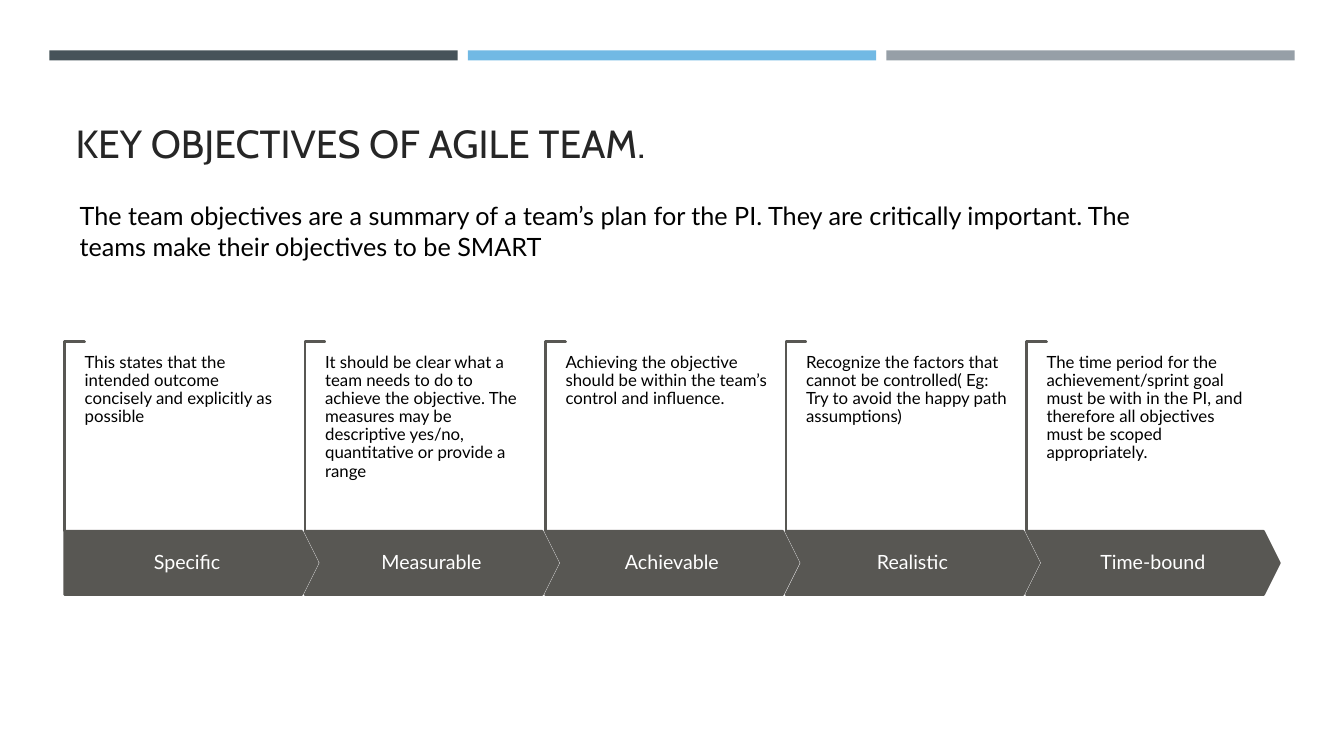
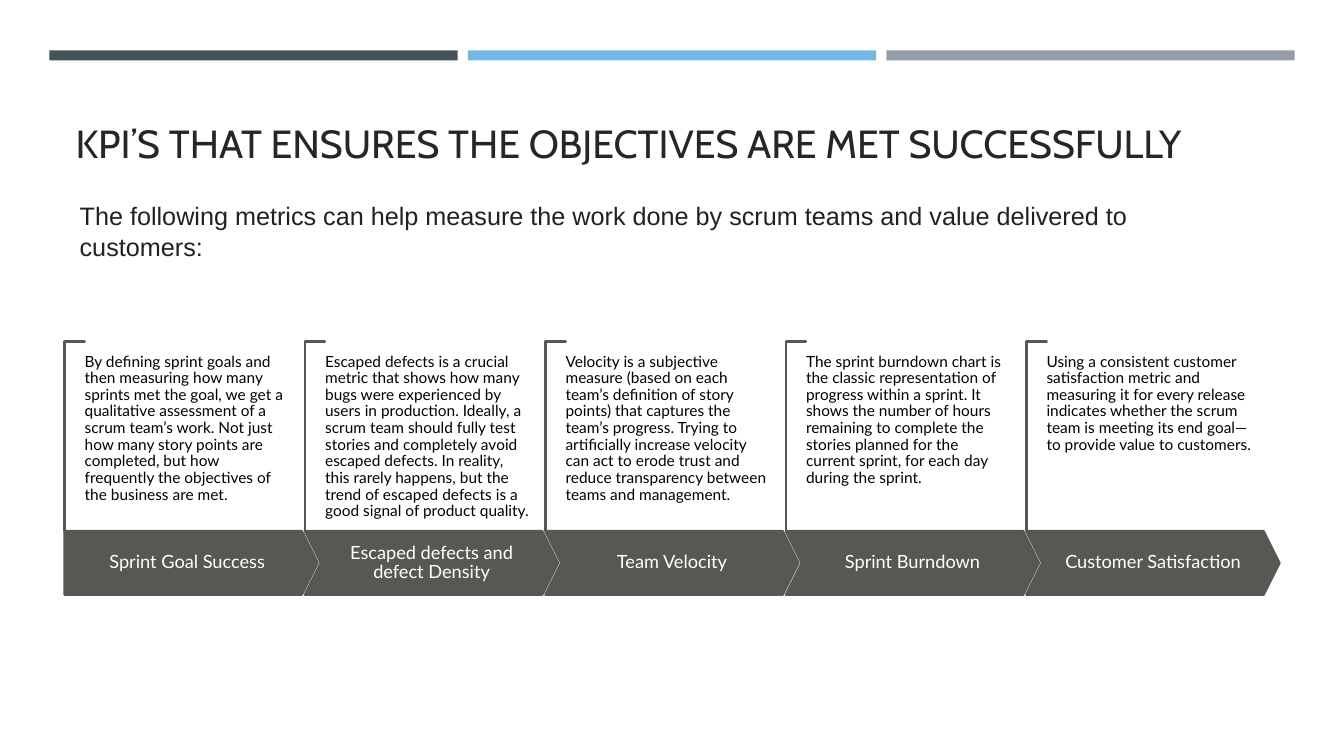
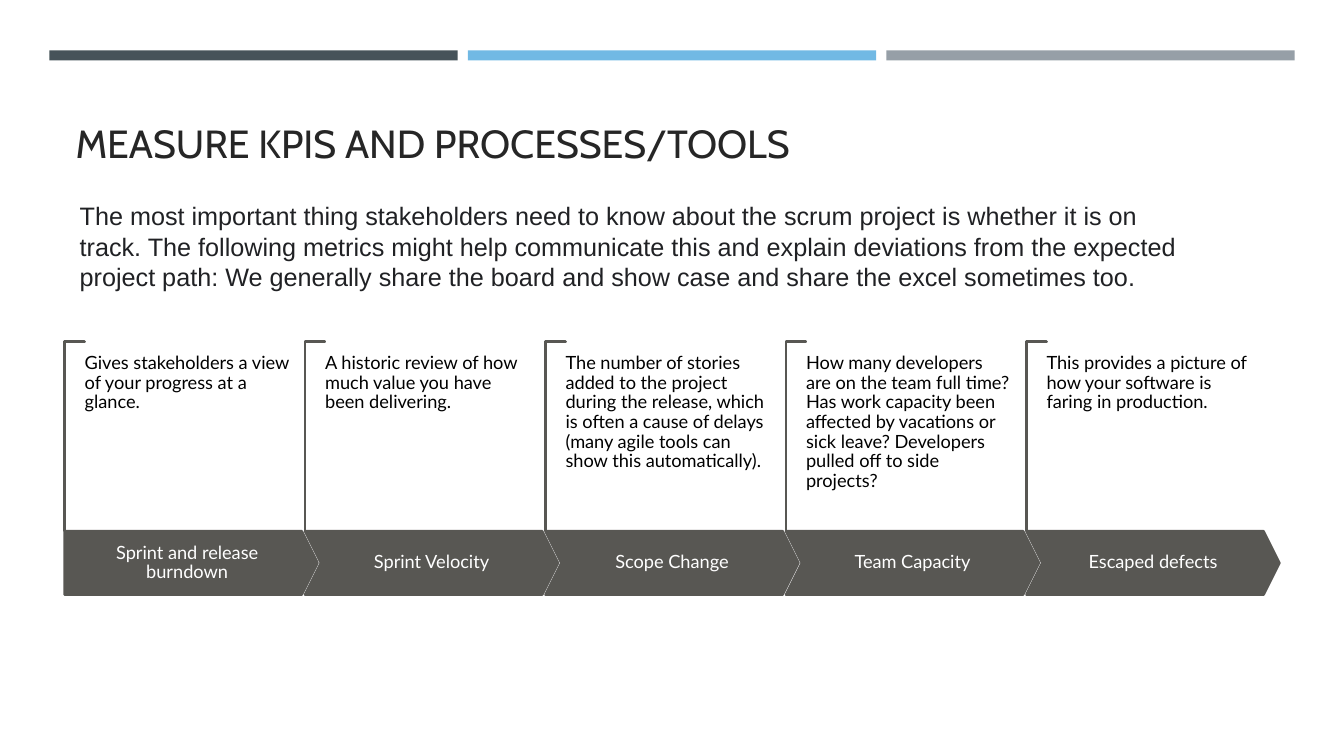
from dataclasses import dataclass

from lxml import etree
from pptx import Presentation
from pptx.dml.color import RGBColor
from pptx.enum import shapes, text
from pptx.oxml import ns
from pptx.util import Inches, Pt


@dataclass(frozen=True)
class Theme:
    bands: tuple = ("465359", "71B9E4", "969FA7")
    title: str = "262626"
    body: str = "000000"
    web_text: str = "202124"
    arrow: str = "585753"
    bracket: str = "EBDDC3"
    arrow_text: str = "FFFFFF"
    title_font: str = "Cabin"
    body_font: str = "Lato"
    web_font: str = "Arial"
    title_size: int = 28
    intro_size: int = 18
    outline: float = 1.75


THEME = Theme()

STEP_COUNT = 5
FIRST_LEFT, LAST_LEFT = 0.64, 10.18
STEP_PITCH = (LAST_LEFT - FIRST_LEFT) / (STEP_COUNT - 1)
ARROW_TOP, ARROW_WIDTH, ARROW_HEIGHT = 5.27, 2.51, 0.63
BRACKET_WIDTH, BRACKET_HEIGHT = 0.2, 1.88

SLIDES = [
    dict(
        title="KEY OBJECTIVES OF AGILE TEAM.",
        intro="The team objectives are a summary of a team’s plan for the PI. They are "
              "critically important. The teams make their objectives to be SMART",
        intro_format=dict(font=THEME.body_font, color=THEME.body),
        intro_height=0.71, label_size=14, detail_size=12,
        steps=[
            ("Specific", "This states that the intended outcome concisely and explicitly "
                         "as possible"),
            ("Measurable", "It should be clear what a team needs to do to achieve the "
                           "objective. The measures may be descriptive yes/no, "
                           "quantitative or provide a range"),
            ("Achievable", "Achieving the objective should be within the team’s control "
                           "and influence."),
            ("Realistic", "Recognize the factors that cannot be controlled( Eg: Try to "
                          "avoid the happy path assumptions)"),
            ("Time-bound", "The time period for the achievement/sprint goal must be with "
                           "in the PI, and therefore all objectives must be scoped "
                           "appropriately."),
        ],
    ),
    dict(
        title="KPI’S THAT ENSURES THE OBJECTIVES ARE MET SUCCESSFULLY",
        intro="The following metrics can help measure the work done by scrum teams and "
              "value delivered to customers:",
        intro_format=dict(font=THEME.web_font, color=THEME.web_text),
        intro_height=0.71, label_size=13, detail_size=11,
        steps=[
            ("Sprint Goal Success",
             "By defining sprint goals and then measuring how many sprints met the goal, "
             "we get a qualitative assessment of a scrum team’s work. Not just how many "
             "story points are completed, but how frequently the objectives of the "
             "business are met."),
            ("Escaped defects and defect Density",
             "Escaped defects is a crucial metric that shows how many bugs were "
             "experienced by users in production. Ideally, a scrum team should fully "
             "test stories and completely avoid escaped defects. In reality, this rarely "
             "happens, but the trend of escaped defects is a good signal of product "
             "quality."),
            ("Team Velocity",
             "Velocity is a subjective measure (based on each team’s definition of story "
             "points) that captures the team’s progress. Trying to artificially increase "
             "velocity can act to erode trust and reduce transparency between teams and "
             "management."),
            ("Sprint Burndown",
             "The sprint burndown chart is the classic representation of progress within "
             "a sprint. It shows the number of hours remaining to complete the stories "
             "planned for the current sprint, for each day during the sprint."),
            ("Customer Satisfaction",
             "Using a consistent customer satisfaction metric and measuring it for every "
             "release indicates whether the scrum team is meeting its end goal—to "
             "provide value to customers."),
        ],
    ),
    dict(
        title="MEASURE KPIS AND PROCESSES/TOOLS",
        intro="The most important thing stakeholders need to know about the scrum project "
              "is whether it is on track. The following metrics might help communicate "
              "this and explain deviations from the expected project path: We generally "
              "share the board and show case and share the excel sometimes too.",
        intro_format=dict(font=THEME.web_font, color=THEME.web_text),
        intro_height=1.01, label_size=13, detail_size=13,
        steps=[
            ("Sprint and release burndown",
             "Gives stakeholders a view of your progress at a glance."),
            ("Sprint Velocity",
             "A historic review of how much value you have been delivering."),
            ("Scope Change",
             "The number of stories added to the project during the release, which is "
             "often a cause of delays (many agile tools can show this automatically)."),
            ("Team Capacity",
             "How many developers are on the team full time? Has work capacity been "
             "affected by vacations or sick leave? Developers pulled off to side "
             "projects?"),
            ("Escaped defects",
             "This provides a picture of how your software is faring in production."),
        ],
    ),
]


def place(item, left, top, width, height):
    item.left, item.top = Inches(left), Inches(top)
    item.width, item.height = Inches(width), Inches(height)


def write(item, words, *, size, color, font=THEME.body_font, align=text.PP_ALIGN.LEFT,
          anchor=text.MSO_ANCHOR.TOP, spacing=1.0, margins=(0.1, 0.05)):
    """Fill a shape with one formatted paragraph; margins are (side, top and bottom)."""
    frame = item.text_frame
    frame.word_wrap = True
    frame.auto_size = text.MSO_AUTO_SIZE.NONE
    frame.vertical_anchor = anchor
    frame.margin_left = frame.margin_right = Inches(margins[0])
    frame.margin_top = frame.margin_bottom = Inches(margins[1])
    paragraph = frame.paragraphs[0]
    paragraph.alignment = align
    paragraph.line_spacing = spacing
    paragraph.space_before = Pt(0)
    run = paragraph.add_run()
    run.text = words
    run.font.name = font
    run.font.size = Pt(size)
    run.font.color.rgb = RGBColor.from_string(color)
    return paragraph


def remove_bullet(paragraph):
    properties = paragraph._p.get_or_add_pPr()
    properties.set("marL", "0")
    properties.set("indent", "0")
    etree.SubElement(properties, ns.qn("a:buNone"))


def add_preset(slide, preset, left, top, width, height, *, fill, line=None, adjust=()):
    shape = slide.shapes.add_shape(
        preset, Inches(left), Inches(top), Inches(width), Inches(height))
    shape.shadow.inherit = False
    shape.fill.solid()
    shape.fill.fore_color.rgb = RGBColor.from_string(fill)
    if line:
        shape.line.color.rgb = RGBColor.from_string(line)
        shape.line.width = Pt(THEME.outline)
    else:
        shape.line.fill.background()
    for index, value in enumerate(adjust):
        shape.adjustments[index] = value
    return shape


def set_up_layout(layout, slide):
    """Place the shared title and intro, and move the bands from slide to layout."""
    place(layout.placeholders[0], 0.65, 0.77, 12.06, 1.3)
    place(layout.placeholders[1], 0.69, 1.94, 11.17, 0.71)
    for index, color in enumerate(THEME.bands):
        band = add_preset(slide, shapes.MSO_SHAPE.RECTANGLE,
                          0.49 + index * 4.15, 0.5, 4.05, 0.1, fill=color)
        band.element.nvSpPr.cNvPr.set("id", str(100 + index))
        layout.element.cSld.spTree.insert(2 + index, band.element)


def add_step(slide, index, label, detail, label_size, detail_size):
    left = FIRST_LEFT + index * STEP_PITCH
    # The bracket is drawn lying down and turned about its centre.
    bracket = add_preset(
        slide, shapes.MSO_SHAPE.CORNER,
        left + (BRACKET_WIDTH - BRACKET_HEIGHT) / 2,
        ARROW_TOP - (BRACKET_HEIGHT + BRACKET_WIDTH) / 2,
        BRACKET_HEIGHT, BRACKET_WIDTH,
        fill=THEME.bracket, line=THEME.arrow, adjust=(0.01, 0.01))
    bracket.rotation = 90

    preset = shapes.MSO_SHAPE.CHEVRON if index else shapes.MSO_SHAPE.PENTAGON
    arrow = add_preset(slide, preset, left, ARROW_TOP, ARROW_WIDTH, ARROW_HEIGHT,
                       fill=THEME.arrow, line=THEME.arrow, adjust=(0.25,))
    write(arrow, label, size=label_size, color=THEME.arrow_text, spacing=0.9,
          align=text.PP_ALIGN.CENTER, anchor=text.MSO_ANCHOR.MIDDLE, margins=(0.1, 0))

    caption = slide.shapes.add_textbox(Inches(left + BRACKET_WIDTH), Inches(3.51),
                                       Inches(2.04), Inches(1.64))
    write(caption, detail, size=detail_size, color=THEME.body, spacing=0.9,
          margins=(0, 0))


def fill_slide(slide, content):
    write(slide.shapes.title, content["title"], size=THEME.title_size, color=THEME.title,
          font=THEME.title_font, anchor=text.MSO_ANCHOR.MIDDLE)
    intro = slide.placeholders[1]
    place(intro, 0.69, 1.94, 11.17, content["intro_height"])
    remove_bullet(write(intro, content["intro"], size=THEME.intro_size,
                        **content["intro_format"]))
    for index, (label, detail) in enumerate(content["steps"]):
        add_step(slide, index, label, detail,
                 content["label_size"], content["detail_size"])


def main():
    deck = Presentation()
    deck.slide_width, deck.slide_height = Inches(13.33), Inches(7.5)
    layout = deck.slide_layouts[1]
    for number, content in enumerate(SLIDES):
        slide = deck.slides.add_slide(layout)
        if number == 0:
            set_up_layout(layout, slide)
        fill_slide(slide, content)
    deck.save("out.pptx")


if __name__ == "__main__":
    main()
